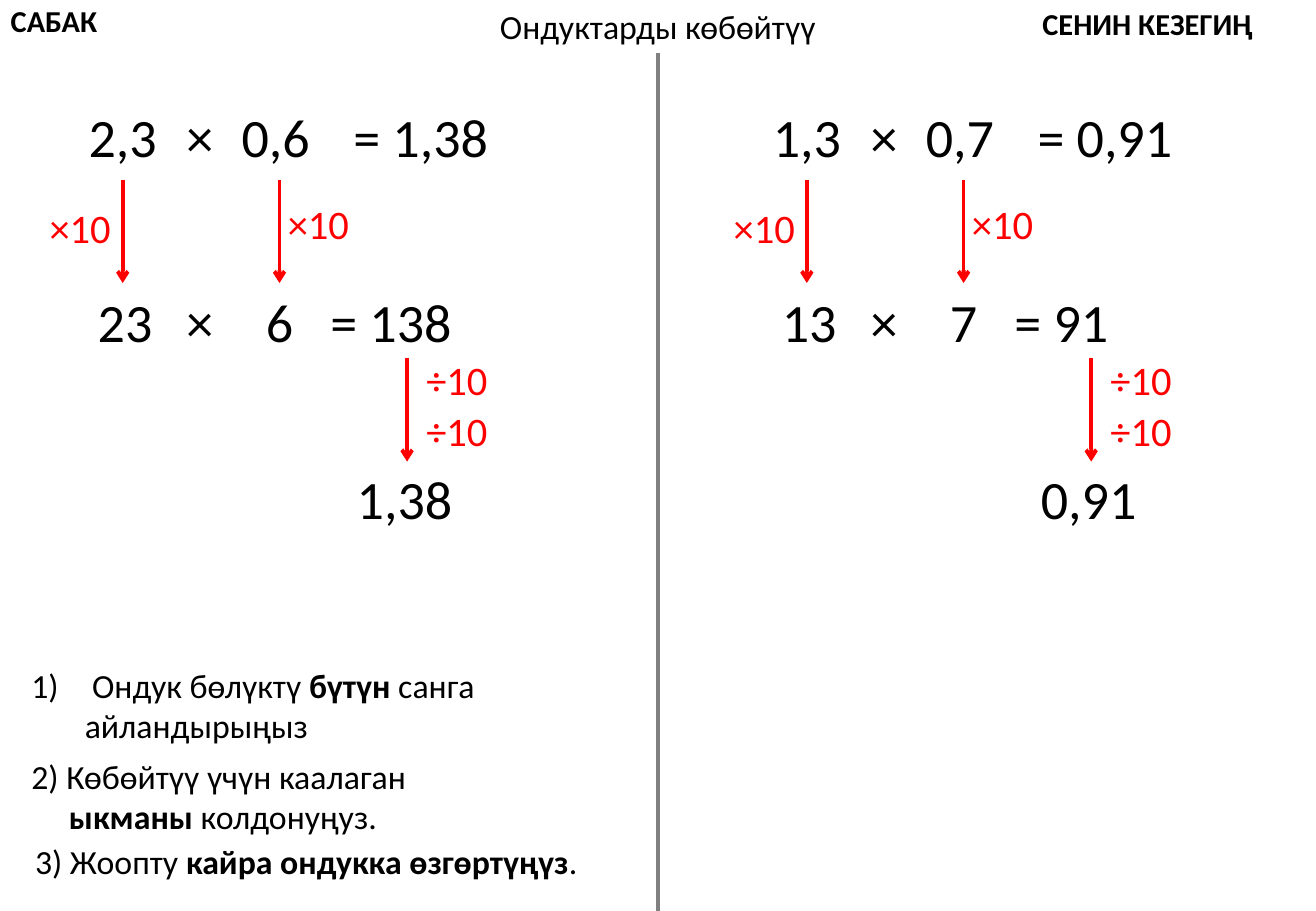
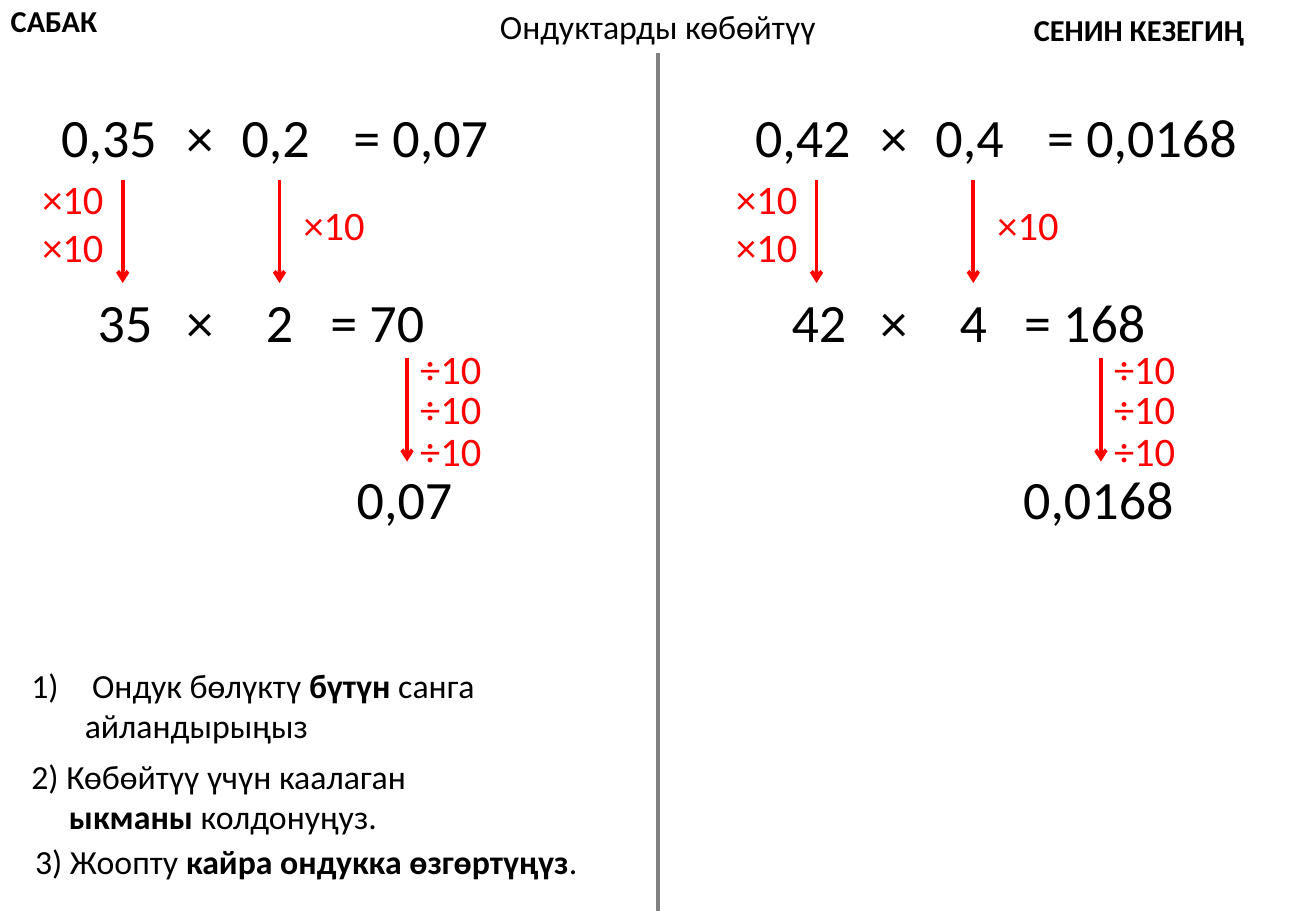
import pptx
import pptx.dml.color
import pptx.enum.shapes
import pptx.enum.text
import pptx.util
import lxml.etree
from pptx.oxml.ns import qn

BLACK = pptx.dml.color.RGBColor(0x00, 0x00, 0x00)
RED = pptx.dml.color.RGBColor(0xFF, 0x00, 0x00)
GRAY = pptx.dml.color.RGBColor(0x80, 0x80, 0x80)
FONT = "Calibri"
LEFT = pptx.enum.text.PP_ALIGN.LEFT
CENTER = pptx.enum.text.PP_ALIGN.CENTER
RIGHT = pptx.enum.text.PP_ALIGN.RIGHT

# The slide is a grid of square cells, ten to the inch.
CELL = pptx.util.Inches(0.1)
COLUMNS, ROWS = 108.3, 75
MIDDLE = COLUMNS / 2

# Rows and columns of one worked example, counted from its panel's left edge.
DECIMAL_ROW, WHOLE_ROW, ANSWER_ROW = 8, 23.3, 37.8
FIRST_COLUMN, SECOND_COLUMN, ANSWER_COLUMN = 10.1, 23, 33.5
ARROW_LENGTH = 8.5
ARROWS = [(FIRST_COLUMN, 14.8), (SECOND_COLUMN, 14.8), (ANSWER_COLUMN, 29.5)]

STEPS = [
    (1.6, 54.2, [[("Ондук бөлүктү ", False), ("бүтүн", True), (" санга", False)],
                 [("айландырыңыз", False)]], [5, 4.4]),
    (1.6, 61.7, [[("2) Көбөйтүү үчүн каалаган", False)],
                 [("ыкманы", True), (" колдонуңуз.", False)]], [0, 3.1]),
    (1.9, 68.7, [[("3) Жоопту ", False), ("кайра ондукка өзгөртүңүз", True),
                  (".", False)]], [0]),
]

# Each example: panel left, decimal factors, whole factors, whole product, answer.
# Each label: its text, column and row in the panel.
LESSONS = [
    {
        "turn_at": (84.8, -0.1),
        "examples": [(0, "2,3", "0,6", "23", "6", "138", "1,38"),
                     (56.3, "1,3", "0,7", "13", "7", "91", "0,91")],
        "labels": [("×10", 3.1, 16.2), ("×10", 22.7, 15.9),
                   ("÷10", 34.1, 28.7), ("÷10", 34.1, 32.9)],
    },
    {
        "turn_at": (84.1, 0.4),
        "examples": [(0, "0,35", "0,2", "35", "2", "70", "0,07"),
                     (57.1, "0,42", "0,4", "42", "4", "168", "0,0168")],
        "labels": [("×10", 2.5, 13.8), ("×10", 2.5, 17.8), ("×10", 24, 16),
                   ("÷10", 33.6, 27.8), ("÷10", 33.6, 31.1), ("÷10", 33.6, 34.6)],
    },
]


def add_text(slide, place, paragraphs, size, color=BLACK, align=LEFT):
    """Add a box at (column, row, width, height); paragraphs hold (text, bold) runs."""
    box = slide.shapes.add_textbox(*[round(cells * CELL) for cells in place])
    frame = box.text_frame
    frame.word_wrap = True
    for index, runs in enumerate(paragraphs):
        para = frame.paragraphs[0] if index == 0 else frame.add_paragraph()
        para.alignment = align
        for text, bold in runs:
            span = para.add_run()
            span.text = text
            span.font.name = FONT
            span.font.size = pptx.util.Pt(size)
            span.font.bold = bold
            span.font.color.rgb = color
    return box


def add_vertical_line(slide, column, top, bottom, color, arrow=False):
    ends = [round(cells * CELL) for cells in (column, top, column, bottom)]
    line = slide.shapes.add_connector(pptx.enum.shapes.MSO_CONNECTOR.STRAIGHT, *ends)
    line.line.color.rgb = color
    line.line.width = pptx.util.Pt(2.25)
    if arrow:
        lxml.etree.SubElement(line.get_or_add_ln(), qn("a:tailEnd"), type="arrow")
    lxml.etree.SubElement(line._element.spPr, qn("a:effectLst"))


deck = pptx.Presentation()
deck.slide_width = round(COLUMNS * CELL)
deck.slide_height = ROWS * CELL

for lesson in LESSONS:
    page = deck.slides.add_slide(deck.slide_layouts[6])
    add_vertical_line(page, MIDDLE, 4.4, ROWS, GRAY)
    add_text(page, (-0.1, -0.3, 12, 4), [[("САБАК", True)]], 18)
    add_text(page, (*lesson["turn_at"], 23.5, 4), [[("СЕНИН КЕЗЕГИҢ", True)]], 18)
    add_text(page, (MIDDLE - 16, 0, 32, 4.4), [[("Ондуктарды көбөйтүү", False)]],
             20, align=CENTER)

    for panel, first, second, whole_first, whole_second, product, answer in lesson["examples"]:
        numbers = [
            (first, 1.9, DECIMAL_ROW, 12, RIGHT),
            ("×", 14.3, DECIMAL_ROW, 4.3, CENTER),
            (second, SECOND_COLUMN - 5.3, DECIMAL_ROW, 10, CENTER),
            ("= " + answer, 28.1, DECIMAL_ROW, 19, LEFT),
            (whole_first, FIRST_COLUMN - 4.8, WHOLE_ROW, 10, CENTER),
            ("×", 14.3, WHOLE_ROW, 4.3, CENTER),
            (whole_second, SECOND_COLUMN - 5, WHOLE_ROW, 10, CENTER),
            ("= " + product, 26.2, WHOLE_ROW, 14, LEFT),
            (answer, ANSWER_COLUMN - 10.2, ANSWER_ROW, 20, CENTER),
        ]
        for text, column, row, width, align in numbers:
            add_text(page, (panel + column, row, width, 6.4), [[(text, False)]],
                     32, align=align)
        for column, row in ARROWS:
            add_vertical_line(page, panel + column, row, row + ARROW_LENGTH, RED, arrow=True)
        for text, column, row in lesson["labels"]:
            add_text(page, (panel + column, row, 8, 5), [[(text, False)]], 24, RED)

    for column, row, paragraphs, margins in STEPS:
        height = 1.1 + 3.3 * len(paragraphs)
        step = add_text(page, (column, row, 49, height), paragraphs, 20)
        for para, margin in zip(step.text_frame.paragraphs, margins):
            para._p.get_or_add_pPr().set("marL", str(round(margin * CELL)))
        if (column, row) == STEPS[0][:2]:
            properties = step.text_frame.paragraphs[0]._p.get_or_add_pPr()
            properties.set("indent", str(round(-margins[0] * CELL)))
            lxml.etree.SubElement(properties, qn("a:buFont"), typeface=FONT)
            lxml.etree.SubElement(properties, qn("a:buAutoNum"), type="arabicParenR")

deck.save("out.pptx")
